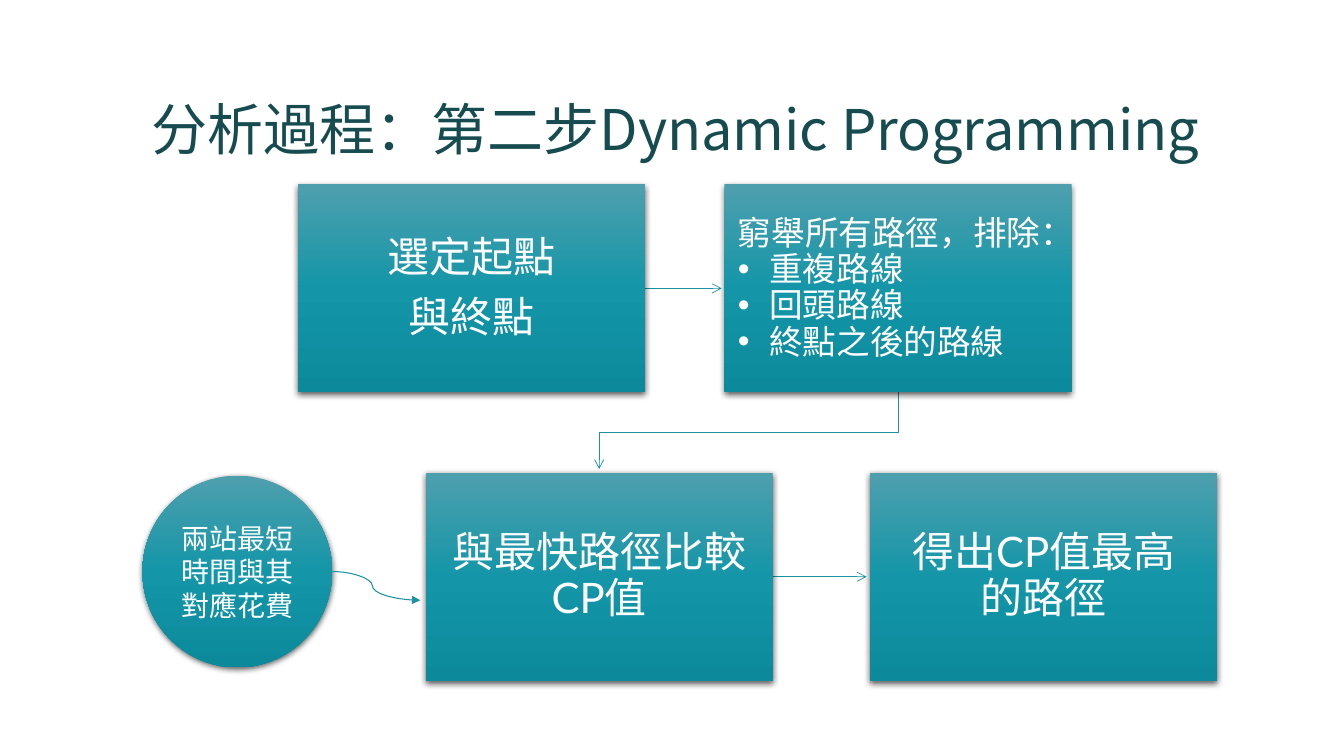
from dataclasses import dataclass
from lxml.etree import SubElement
from pptx import Presentation
from pptx.dml.color import RGBColor
from pptx.enum.shapes import MSO_CONNECTOR, MSO_SHAPE
from pptx.enum.text import MSO_ANCHOR, PP_ALIGN
from pptx.oxml import parse_xml
from pptx.oxml.ns import nsdecls, qn
from pptx.util import Pt


@dataclass(frozen=True)
class Theme:
    title_color: str = "164B4F"
    text_color: str = "FFFFFF"
    line_color: str = "1B91A1"
    gradient: tuple = ((0, "4E9FAD"), (50000, "1496A8"), (100000, "0C8A9B"))
    title_font: str = "Noto Sans CJK SC"
    body_font: str = "Lato"
    title_size: int = 40
    step_size: int = 30
    list_size: int = 24
    note_size: int = 20


theme = Theme()


def write(frame, text, size, color=theme.text_color, font=theme.body_font,
          align=PP_ALIGN.LEFT, spacing=0.9, after=0):
    """Fill a text frame and format each of its paragraphs."""
    frame.word_wrap = True
    frame.text = text
    for para in frame.paragraphs:
        para.alignment = align
        para.line_spacing = spacing
        para.space_after = Pt(after)
        for span in para.runs:
            span.font.size = Pt(size)
            span.font.name = font
            span.font.color.rgb = RGBColor.from_string(color)
            SubElement(span.font._element, qn("a:ea"), typeface=font)


def style_arrow(arrow, width, head):
    """Give a line its colour, width and arrowhead, without a shadow."""
    arrow.line.color.rgb = RGBColor.from_string(theme.line_color)
    arrow.line.width = Pt(width)
    properties = arrow._element.spPr
    SubElement(properties.find(qn("a:ln")), qn("a:tailEnd"), type=head)
    SubElement(properties, qn("a:effectLst"))


deck = Presentation()
deck.slide_width, deck.slide_height = Pt(960), Pt(540)
page = deck.slides.add_slide(deck.slide_layouts[6])

# Title
title = page.shapes.add_textbox(Pt(101.5), Pt(30), Pt(792), Pt(90))
write(title.text_frame, "分析過程：第二步Dynamic Programming", theme.title_size,
      theme.title_color, theme.title_font)
title.text_frame.vertical_anchor = MSO_ANCHOR.BOTTOM

# Arrows between the steps
box_width, box_height = 248, 148.5
top_row, bottom_row = 131.75, 337.75
for start, end, row in ((461, 515.5, top_row), (552, 619, bottom_row)):
    middle = row + box_height / 2
    arrow = page.shapes.add_connector(
        MSO_CONNECTOR.STRAIGHT, Pt(start), Pt(middle), Pt(end), Pt(middle))
    style_arrow(arrow, 0.5, "arrow")

outline = page.shapes.build_freeform(Pt(641.5), Pt(280.25))
outline.add_line_segments(
    [(Pt(641.5), Pt(309)), (Pt(428), Pt(309)), (Pt(428), Pt(335))], close=False)
row_arrow = outline.convert_to_shape()
row_arrow.fill.background()
row_arrow.shadow.inherit = False
style_arrow(row_arrow, 0.5, "arrow")

# Step boxes and the round input
rectangle, ellipse = MSO_SHAPE.RECTANGLE, MSO_SHAPE.OVAL
steps = (
    (rectangle, 213, top_row, box_width, box_height, "選定起點\n與終點"),
    (rectangle, 517.5, top_row, box_width, box_height, ""),
    (rectangle, 304, bottom_row, box_width, box_height, "與最快路徑比較CP值"),
    (rectangle, 621.5, bottom_row, box_width, box_height, "得出CP值最高的路徑"),
    (ellipse, 101.75, 339.75, 135.5, 137, "兩站最短時間與其對應花費"),
)
stops = "".join(f'<a:gs pos="{position}"><a:srgbClr val="{color}"/></a:gs>'
                for position, color in theme.gradient)
for kind, left, top, width, height, text in steps:
    box = page.shapes.add_shape(kind, Pt(left), Pt(top), Pt(width), Pt(height))
    box.line.fill.background()
    box.shadow.inherit = False
    properties = box._element.spPr
    properties.find(qn("a:prstGeom")).addnext(parse_xml(
        f'<a:gradFill {nsdecls("a")} rotWithShape="1"><a:gsLst>{stops}</a:gsLst>'
        '<a:lin ang="5400000" scaled="0"/></a:gradFill>'))
    properties.find(qn("a:effectLst")).append(parse_xml(
        f'<a:outerShdw {nsdecls("a")} blurRad="{Pt(4.5)}" dist="{Pt(1.5)}" '
        'dir="5400000" algn="ctr" rotWithShape="0"><a:srgbClr val="000000">'
        '<a:alpha val="63000"/></a:srgbClr></a:outerShdw>'))
    frame = box.text_frame
    frame.vertical_anchor = MSO_ANCHOR.MIDDLE
    if kind == ellipse:
        write(frame, text, theme.note_size, align=PP_ALIGN.CENTER, spacing=1.0)
    elif text:
        frame.margin_left = frame.margin_right = Pt(16.5)
        frame.margin_top = frame.margin_bottom = Pt(16.5)
        write(frame, text, theme.step_size, align=PP_ALIGN.CENTER, after=10.5)

# List of excluded routes
routes = page.shapes.add_textbox(Pt(520), Pt(151), Pt(232.5), Pt(112.5))
write(routes.text_frame, "窮舉所有路徑，排除：\n重複路線\n回頭路線\n終點之後的路線",
      theme.list_size)
for para in routes.text_frame.paragraphs[1:]:
    para_properties = para._p.get_or_add_pPr()
    para_properties.set("marL", str(Pt(22.5)))
    para_properties.set("indent", str(-Pt(22.5)))
    SubElement(para_properties, qn("a:buFont"), typeface="Arial")
    SubElement(para_properties, qn("a:buChar"), char="•")

# Curved arrow from the round input
curve = page.shapes.add_connector(
    MSO_CONNECTOR.CURVE, Pt(237.5), Pt(408.25), Pt(300.25), Pt(428.75))
geometry = curve._element.spPr.find(qn("a:prstGeom"))
SubElement(geometry.get_or_add_avLst(), qn("a:gd"), name="adj1", fmla="val 45500")
style_arrow(curve, 0.75, "triangle")

deck.save("out.pptx")
